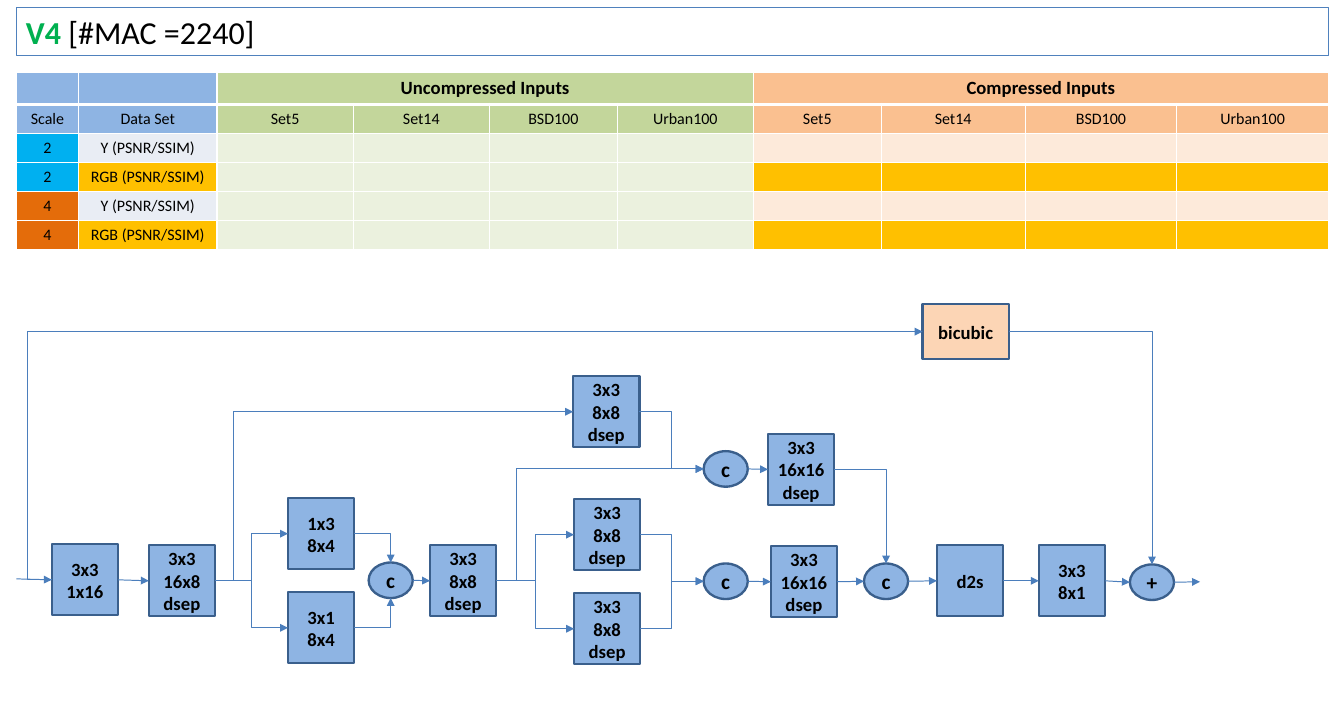
"""Build the V4 network slide: a results table above the block diagram."""
from dataclasses import dataclass

import pptx
import pptx.chart.data
import pptx.dml.color
import pptx.enum.shapes
import pptx.enum.text
import pptx.oxml
import pptx.oxml.ns
import pptx.util
from lxml import etree

Inches = pptx.util.Inches
Pt = pptx.util.Pt
RGB = pptx.dml.color.RGBColor.from_string
SHAPE = pptx.enum.shapes.MSO_SHAPE
CONNECTOR = pptx.enum.shapes.MSO_CONNECTOR
MIDDLE = pptx.enum.text.MSO_ANCHOR.MIDDLE
ALIGN = pptx.enum.text.PP_ALIGN
qn = pptx.oxml.ns.qn


@dataclass(frozen=True)
class Theme:
    font: str = "Calibri"
    title: int = 24
    operator: int = 16
    heading: int = 14
    cell: int = 12
    black: str = "000000"
    white: str = "FFFFFF"
    accent: str = "00B050"
    frame: str = "4F81BD"
    link: str = "4B7EBC"
    outline: str = "3A5F8C"
    block: str = "8EB4E3"
    bicubic: str = "FCD5B5"
    green: str = "C3D69B"
    pale_green: str = "EBF1DE"
    orange: str = "FAC090"
    pale_orange: str = "FDEADA"
    pale_blue: str = "E9EDF4"
    gold: str = "FFC000"
    scale2: str = "00B0F0"
    scale4: str = "E46C0A"


theme = Theme()


def format_text(tf, size, bold):
    """Centre every paragraph and give it the theme font."""
    tf.vertical_anchor = MIDDLE
    for p in tf.paragraphs:
        p.alignment = ALIGN.CENTER
        p.font.name = theme.font
        p.font.size = Pt(size)
        p.font.bold = bold
        p.font.color.rgb = RGB(theme.black)


def add_link(start, end, bend=None):
    """Draw an arrow: straight, "corner", or an elbow turning at bend inches."""
    kind = CONNECTOR.STRAIGHT if bend is None else CONNECTOR.ELBOW
    c = s.shapes.add_connector(kind, *(Inches(v) for v in start + end))
    c.line.color.rgb = RGB(theme.link)
    c.line.width = Pt(0.75)
    props = c._element.spPr
    etree.SubElement(props.find(qn("a:ln")), qn("a:tailEnd"), type="triangle")
    etree.SubElement(props, qn("a:effectLst"))
    geom = props.find(qn("a:prstGeom"))
    if bend == "corner":
        geom.set("prst", "bentConnector2")
    elif bend is not None:
        ratio = round(100000 * bend / (end[0] - start[0]))
        guides = geom.get_or_add_avLst()
        etree.SubElement(guides, qn("a:gd"), name="adj1", fmla=f"val {ratio}")


prs = pptx.Presentation()
prs.slide_width, prs.slide_height = Inches(14), Inches(7.5)
s = prs.slides.add_slide(prs.slide_layouts[5])

title = s.shapes.title
title.left, title.top = Inches(0.17), Inches(0.08)
title.width, title.height = Inches(13.67), Inches(0.5)
title.line.color.rgb = RGB(theme.frame)
title.line.width = Pt(0.75)
tf = title.text_frame
tf.word_wrap = True
tf.vertical_anchor = MIDDLE
p = tf.paragraphs[0]
p.alignment = ALIGN.LEFT
for text, color, bold in [("V4", theme.accent, True),
                          (" [#MAC =2240]", theme.black, False)]:
    r = p.add_run()
    r.text = text
    r.font.name = theme.font
    r.font.size = Pt(theme.title)
    r.font.bold = bold
    r.font.color.rgb = RGB(color)

data_sets = ["Set5", "Set14", "BSD100", "Urban100"]
rows = [
    (["", "", "Uncompressed Inputs", "", "", "", "Compressed Inputs", "", "", ""],
     [theme.block, theme.block, theme.green, theme.orange]),
    (["Scale", "Data Set"] + data_sets * 2,
     [theme.block, theme.block, theme.green, theme.orange]),
]
for scale, scale_fill in [("2", theme.scale2), ("4", theme.scale4)]:
    for channel, name_fill, result_fill in [
            ("Y", theme.pale_blue, theme.pale_orange),
            ("RGB", theme.gold, theme.gold)]:
        rows.append(([scale, f"{channel} (PSNR/SSIM)"] + [""] * 8,
                     [scale_fill, name_fill, theme.pale_green, result_fill]))

widths = [0.65, 1.44, 1.42, 1.42, 1.33, 1.42, 1.33, 1.5, 1.58, 1.58]
table = s.shapes.add_table(len(rows), len(widths), Inches(0.17), Inches(0.75),
                           Inches(13.67), Inches(1.83)).table
table.first_row = table.horz_banding = False
for column, width in zip(table.columns, widths):
    column.width = Inches(width)
for i, (texts, (scale_fill, name_fill, plain_fill, packed_fill)) in enumerate(rows):
    table.rows[i].height = Inches(0.3 if i else 0.33)
    fills = [scale_fill, name_fill] + [plain_fill] * 4 + [packed_fill] * 4
    for j, (text, fill) in enumerate(zip(texts, fills)):
        cell = table.cell(i, j)
        cell.text = text
        format_text(cell.text_frame, theme.cell if i else theme.heading, i == 0)
        cell.vertical_anchor = MIDDLE
        props = cell._tc.get_or_add_tcPr()
        for side in ("lnL", "lnR", "lnT", "lnB"):
            weight = 3 if (i, side) in [(0, "lnB"), (1, "lnT")] else 1
            ln = etree.SubElement(props, qn(f"a:{side}"), w=str(Pt(weight)))
            solid = etree.SubElement(ln, qn("a:solidFill"))
            etree.SubElement(solid, qn("a:srgbClr"), val=theme.white)
        cell.fill.solid()
        cell.fill.fore_color.rgb = RGB(fill)
for first in (2, 6):
    table.cell(0, first).merge(table.cell(0, first + 3))

block_size, operator_size = (0.69, 0.74), (0.46, 0.37)
nodes = {
    "input": (0.54, 5.67, "3x3\n1x16"),
    "reduce": (1.55, 5.68, "3x3\n16x8\ndsep"),
    "wide": (3, 5.19, "1x3\n8x4"),
    "tall": (3, 6.17, "3x1\n8x4"),
    "concat": (3.84, 5.86, "c"),
    "middle": (4.48, 5.68, "3x3\n8x8\ndsep"),
    "skip": (5.97, 3.92, "3x3\n8x8\ndsep"),
    "upper": (5.98, 5.2, "3x3\n8x8\ndsep"),
    "lower": (5.98, 6.18, "3x3\n8x8\ndsep"),
    "skip concat": (7.33, 4.7, "c"),
    "main concat": (7.33, 5.87, "c"),
    "skip merge": (8, 4.52, "3x3\n16x16\ndsep"),
    "main merge": (8.03, 5.69, "3x3\n16x16\ndsep"),
    "final concat": (9, 5.87, "c"),
    "d2s": (9.76, 5.68, "d2s"),
    "output": (10.82, 5.68, "3x3\n8x1"),
    "bicubic": (9.61, 3.17, "bicubic"),
    "sum": (11.77, 5.88, "+"),
}
ports = {}
for name, (x, y, text) in nodes.items():
    is_operator = text in ("c", "+")
    w, h = operator_size if is_operator else block_size
    if name == "bicubic":
        w, h = 0.9, 0.57
    sp = s.shapes.add_shape(SHAPE.OVAL if is_operator else SHAPE.RECTANGLE,
                            Inches(x), Inches(y), Inches(w), Inches(h))
    sp.shadow.inherit = False
    sp.fill.solid()
    sp.fill.fore_color.rgb = RGB(theme.bicubic if name == "bicubic" else theme.block)
    sp.line.color.rgb = RGB(theme.outline)
    sp.line.width = Pt(1.75)
    tf = sp.text_frame
    tf.text = text
    tf.word_wrap = False
    format_text(tf, theme.operator if is_operator else theme.heading, True)
    ports[name] = {"left": (x, y + h / 2), "right": (x + w, y + h / 2),
                   "top": (x + w / 2, y), "bottom": (x + w / 2, y + h)}

for source, target, side, bend in [
        ("input", "reduce", "left", None),
        ("reduce", "wide", "left", 0.38), ("reduce", "tall", "left", 0.38),
        ("reduce", "skip", "left", 0.19),
        ("wide", "concat", "top", "corner"), ("tall", "concat", "bottom", "corner"),
        ("concat", "middle", "left", None),
        ("middle", "upper", "left", 0.41), ("middle", "lower", "left", 0.41),
        ("middle", "skip concat", "left", 0.21),
        ("skip", "skip concat", "left", 0.33),
        ("upper", "main concat", "left", 0.33), ("lower", "main concat", "left", 0.33),
        ("skip concat", "skip merge", "left", None),
        ("main concat", "main merge", "left", None),
        ("skip merge", "final concat", "top", "corner"),
        ("main merge", "final concat", "left", None),
        ("final concat", "d2s", "left", None), ("d2s", "output", "left", None),
        ("output", "sum", "left", None), ("bicubic", "sum", "top", "corner")]:
    add_link(ports[source]["right"], ports[target][side], bend)
add_link((0.17, 6.03), ports["input"]["left"])
add_link(ports["input"]["left"], ports["bicubic"]["left"], -0.25)
add_link(ports["sum"]["right"], (12.5, 6.06))

prs.save("out.pptx")
